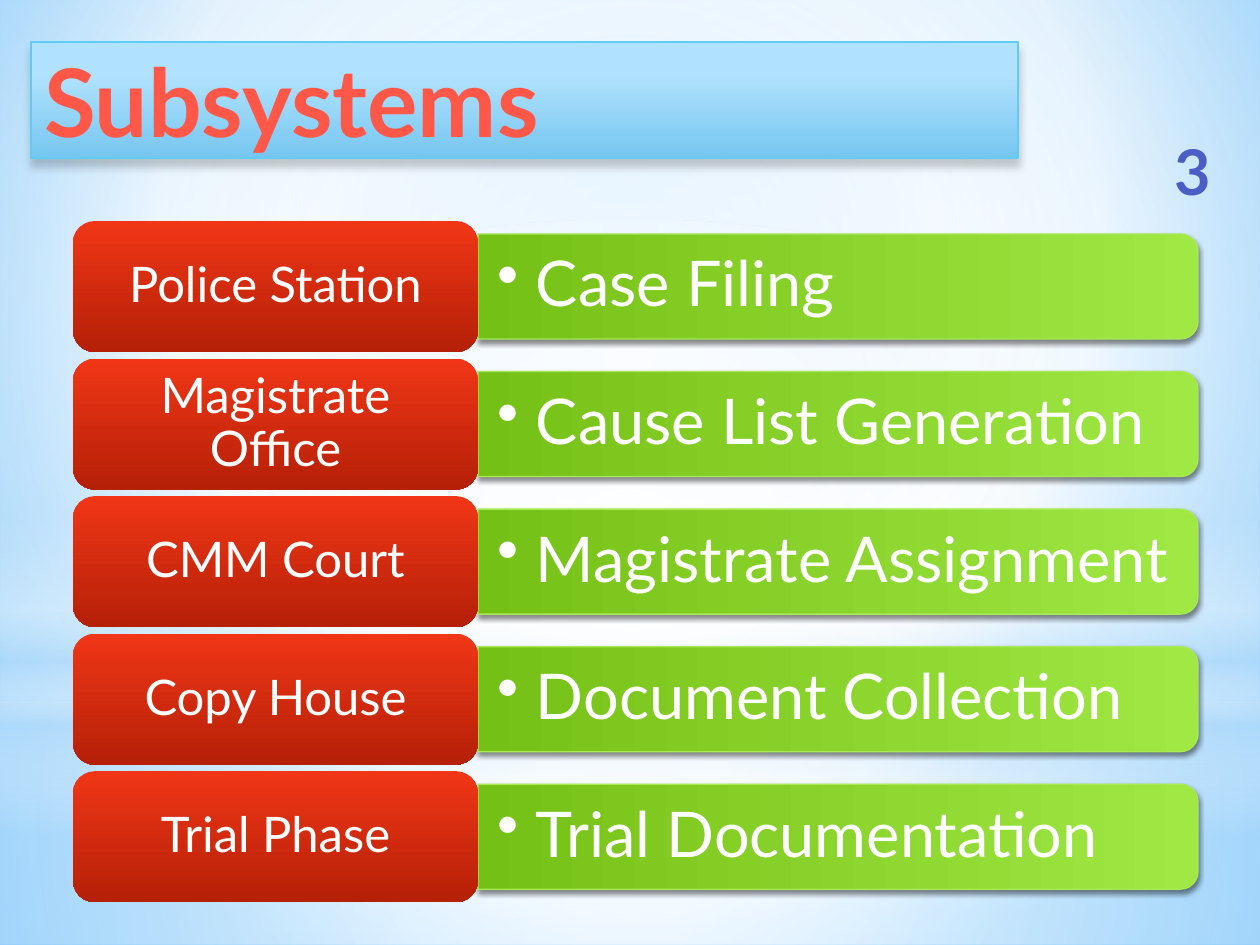
import pptx
import pptx.dml.color
import pptx.enum.shapes
import pptx.enum.text
import pptx.oxml
import pptx.oxml.ns
import pptx.util

TITLE = "Subsystems"
NUMBER = "3"
SUBSYSTEMS = [
    ("Police Station", "Case Filing"),
    ("Magistrate Office", "Cause List Generation"),
    ("CMM Court", "Magistrate Assignment"),
    ("Copy House", "Document Collection"),
    ("Trial Phase", "Trial Documentation"),
]

SHAPE = pptx.enum.shapes.MSO_SHAPE
ALIGN = pptx.enum.text.PP_ALIGN
qn = pptx.oxml.ns.qn
Pt = pptx.util.Pt
SCALE = 914400 / 126
FONT = "Lato"
CENTRE = (50, 50, 50, 50)

# Gradient stops: position, colour, opacity in percent
PAGE = [(0, "9ED5FF", 100), (60, "FFFFFF", 100), (100, "5BB9FF", 100)]
BACKDROP = [
    (SHAPE.RECTANGLE, (0, 703, 1260, 242), CENTRE,
     [(0, "FFFFFF", 91), (37, "FFFFFF", 76), (100, "B4DCFA", 79)]),
    (SHAPE.RECTANGLE, (0, 0, 1260, 703), CENTRE,
     [(0, "FFFFFF", 89), (48, "FFFFFF", 62), (100, "B4DCFA", 79)]),
    (SHAPE.RECTANGLE, (0, 519, 1260, 315), None,
     [(0, "FFFFFF", 0), (29, "FFFFFF", 30), (45, "B4DCFA", 40),
      (55, "FFFFFF", 26), (65, "B4DCFA", 60), (100, "FFFFFF", 0)]),
    (SHAPE.OVAL, (0, 220, 1260, 703), CENTRE,
     [(0, "FFFFFF", 100), (56, "FFFFFF", 0)]),
]
TITLE_FILL = [(28, "B1E2FD", 100), (100, "76C6F1", 100)]
LABEL_FILL = [(0, "F03617", 100), (100, "B52007", 100)]
BAR_FILL = [(0, "A0E844", 100), (100, "75C016", 100)]

# Row layout in pixels
TOP, LABEL_LEFT, LABEL_W, LABEL_H = 221, 73, 405, 131
PITCH = LABEL_H * 1.05
BAR_LEFT, BAR_W, BAR_H = LABEL_LEFT + LABEL_W, 720, 105
BAR_TEXT_W, BAR_TEXT_H = 714, 95


def px(n):
    """Turn pixels into EMU."""
    return pptx.util.Emu(round(n * SCALE))


def rgb(value):
    """Turn a hex string into a colour."""
    return pptx.dml.color.RGBColor.from_string(value)


def xml(text):
    """Parse a fragment in the drawing namespace."""
    head, tail = text.split(">", 1)
    if head.endswith("/"):
        head, tail = head[:-1], f"/>{tail}"
    else:
        tail = f">{tail}"
    return pptx.oxml.parse_xml(f"{head} {pptx.oxml.ns.nsdecls('a')}{tail}")


def set_gradient(parent, stops, focus=None):
    """Replace the empty fill of parent with a gradient, linear or round."""
    gs = "".join(
        f'<a:gs pos="{pos * 1000}"><a:srgbClr val="{color}">'
        f'<a:alpha val="{alpha * 1000}"/></a:srgbClr></a:gs>'
        for pos, color, alpha in stops)
    shade = '<a:lin ang="5400000" scaled="0"/>'
    if focus:
        sides = " ".join(f'{s}="{v * 1000}"' for s, v in zip("ltrb", focus))
        shade = f'<a:path path="circle"><a:fillToRect {sides}/></a:path>'
    grad = xml(f'<a:gradFill rotWithShape="1"><a:gsLst>{gs}</a:gsLst>{shade}</a:gradFill>')
    parent.replace(parent.find(qn("a:noFill")), grad)


def paint(sp, stops, focus=None, line=None, shadow=None):
    """Give a shape its gradient, outline and shadow."""
    sp.fill.background()
    set_gradient(sp.element.spPr, stops, focus)
    if line:
        sp.line.color.rgb = rgb(line)
        sp.line.width = Pt(0.75)
    else:
        sp.line.fill.background()
    sp.shadow.inherit = False
    if shadow:
        alpha, blur, dist = shadow
        sp.element.spPr.find(qn("a:effectLst")).append(xml(
            f'<a:outerShdw blurRad="{Pt(blur)}" dist="{Pt(dist)}" dir="5400000" '
            f'rotWithShape="0"><a:srgbClr val="000000">'
            f'<a:alpha val="{alpha * 1000}"/></a:srgbClr></a:outerShdw>'))


def write(sp, text, size, color, bold=False, align=ALIGN.LEFT, spacing=1.0, inset=(13, 6)):
    """Write one paragraph, centred vertically."""
    tf = sp.text_frame
    x, y = map(px, inset)
    frame = {"word_wrap": True, "auto_size": pptx.enum.text.MSO_AUTO_SIZE.NONE,
             "vertical_anchor": pptx.enum.text.MSO_ANCHOR.MIDDLE,
             "margin_left": x, "margin_right": x, "margin_top": y, "margin_bottom": y}
    for name, value in frame.items():
        setattr(tf, name, value)
    p = tf.paragraphs[0]
    p.alignment, p.line_spacing = align, spacing
    r = p.add_run()
    r.text = text
    for name, value in {"name": FONT, "size": Pt(size), "bold": bold}.items():
        setattr(r.font, name, value)
    r.font.color.rgb = rgb(color)
    return p


def add_shape(kind, box, stops, **look):
    """Add a painted preset shape."""
    sp = slide.shapes.add_shape(kind, *map(px, box))
    paint(sp, stops, **look)
    return sp


def add_row(index, label, task):
    """Add one subsystem: a task bar and its label."""
    top = TOP + index * PITCH
    middle = top + LABEL_H / 2
    # The bar stands upright before its quarter turn
    box = (BAR_LEFT + (BAR_W - BAR_H) / 2, middle - BAR_W / 2, BAR_H, BAR_W)
    bar = add_shape(SHAPE.ROUND_2_SAME_RECTANGLE, box, BAR_FILL,
                    line="A7EA52", shadow=(45, 3.1, 1.8))
    bar.rotation = 90
    box = (BAR_LEFT, middle - BAR_TEXT_H / 2, BAR_TEXT_W, BAR_TEXT_H)
    p = write(slide.shapes.add_textbox(*map(px, box)), task, 36, "FFFFFF",
              spacing=0.9, inset=(19, 9))
    pPr = p._p.get_or_add_pPr()
    pPr.set("marL", str(px(39)))
    pPr.set("indent", str(-px(39)))
    pPr.append(xml('<a:buChar char="•"/>'))
    sp = add_shape(SHAPE.ROUNDED_RECTANGLE, (LABEL_LEFT, top, LABEL_W, LABEL_H), LABEL_FILL)
    write(sp, label, 28, "FFFFFF", align=ALIGN.CENTER, spacing=0.9, inset=(15, 8))


prs = pptx.Presentation()
prs.slide_width, prs.slide_height = px(1260), px(945)
slide = prs.slides.add_slide(prs.slide_layouts[5])
slide.background.fill.background()
set_gradient(slide.element.cSld.find(f"{qn('p:bg')}/{qn('p:bgPr')}"), PAGE, (20, 10, 20, 60))

for kind, box, focus, stops in BACKDROP:
    add_shape(kind, box, stops, focus=focus)

title = slide.shapes.title
for side, value in zip(("left", "top", "width", "height"), (31, 42, 987, 116)):
    setattr(title, side, px(value))
title.element.spPr.append(xml('<a:prstGeom prst="roundRect"><a:avLst/></a:prstGeom>'))
paint(title, TITLE_FILL, line="5ECCF3", shadow=(20, 5, 4))
write(title, TITLE, 54, "FF5748", bold=True)
title.element.getparent().append(title.element)

number = slide.shapes.add_textbox(*map(px, (1144, 136, 98, 68)))
write(number, NUMBER, 36, "4A5EC6", bold=True, align=ALIGN.CENTER)

for i, (label, task) in enumerate(SUBSYSTEMS):
    add_row(i, label, task)

prs.save("out.pptx")
